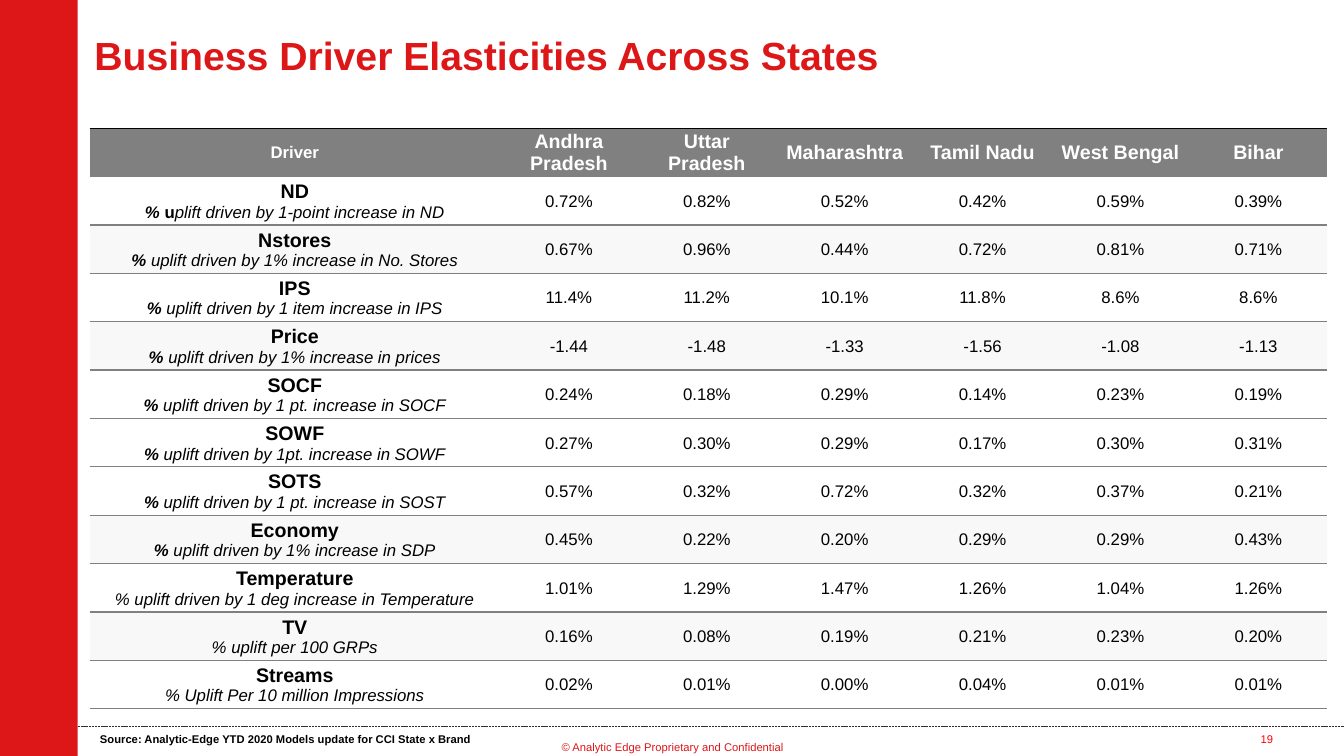
from lxml import etree
from pptx import Presentation
from pptx.dml.color import RGBColor
from pptx.enum.dml import MSO_LINE
from pptx.enum.shapes import MSO_CONNECTOR, MSO_SHAPE
from pptx.enum.text import MSO_ANCHOR, PP_ALIGN
from pptx.oxml.ns import qn
from pptx.util import Cm, Pt

LEFT, CENTER = PP_ALIGN.LEFT, PP_ALIGN.CENTER
TOP, MIDDLE = MSO_ANCHOR.TOP, MSO_ANCHOR.MIDDLE
STRAIGHT, RECTANGLE = MSO_CONNECTOR.STRAIGHT, MSO_SHAPE.RECTANGLE
DASH = MSO_LINE.SQUARE_DOT

FONT = "Arial"
COLORS = {
    "red": "DD1618",
    "number": "FF0000",
    "rule": "2E2E30",
    "grey": "808080",
    "band": "F8F8F8",
    "black": "000000",
    "white": "FFFFFF",
}
SLIDE_WIDTH, SLIDE_HEIGHT = 33.87, 19.05
DRIVER_WIDTH = 10.34

STATES = ["Andhra Pradesh", "Uttar\nPradesh", "Maharashtra", "Tamil Nadu", "West Bengal", "Bihar"]
# Driver, bold lead-in runs (text, italic), explanation, banded, values by state
DRIVERS = [
    ("ND", [("%", True), (" u", False)], "plift driven by 1-point increase in ND", False,
     "0.72% 0.82% 0.52% 0.42% 0.59% 0.39%"),
    ("Nstores", [("% ", True)], "uplift driven by 1% increase in No. Stores", True,
     "0.67% 0.96% 0.44% 0.72% 0.81% 0.71%"),
    ("IPS", [("% ", True)], "uplift driven by 1 item increase in IPS", False,
     "11.4% 11.2% 10.1% 11.8% 8.6% 8.6%"),
    ("Price", [("% ", True)], "uplift driven by 1% increase in prices", True,
     "-1.44 -1.48 -1.33 -1.56 -1.08 -1.13"),
    ("SOCF", [("% ", True)], "uplift driven by 1 pt. increase in SOCF", False,
     "0.24% 0.18% 0.29% 0.14% 0.23% 0.19%"),
    ("SOWF", [("% ", True)], "uplift driven by 1pt. increase in SOWF", False,
     "0.27% 0.30% 0.29% 0.17% 0.30% 0.31%"),
    ("SOTS", [("% ", True)], "uplift driven by 1 pt. increase in SOST", False,
     "0.57% 0.32% 0.72% 0.32% 0.37% 0.21%"),
    ("Economy", [("% ", True)], "uplift driven by 1% increase in SDP", True,
     "0.45% 0.22% 0.20% 0.29% 0.29% 0.43%"),
    ("Temperature", [], "% uplift driven by 1 deg increase in Temperature", False,
     "1.01% 1.29% 1.47% 1.26% 1.04% 1.26%"),
    ("TV", [], "% uplift per 100 GRPs", True,
     "0.16% 0.08% 0.19% 0.21% 0.23% 0.20%"),
    ("Streams", [], "% Uplift Per 10 million Impressions", False,
     "0.02% 0.01% 0.00% 0.04% 0.01% 0.01%"),
]


def rgb(name):
    return RGBColor.from_string(COLORS[name])


def add_run(paragraph, text, size=12, color="black", bold=False, italic=False):
    run = paragraph.add_run()
    run.text = text
    font = run.font
    font.name, font.size, font.bold, font.italic = FONT, Pt(size), bold, italic
    font.color.rgb = rgb(color)


def write_lines(text_frame, text, align=CENTER, **text_format):
    """Write each line of the text as one paragraph."""
    for index, line in enumerate(text.split("\n")):
        paragraph = text_frame.add_paragraph() if index else text_frame.paragraphs[0]
        paragraph.alignment = align
        add_run(paragraph, line, **text_format)


def add_text(slide, box, text, anchor=TOP, wrap=True, **text_format):
    text_frame = slide.shapes.add_textbox(*map(Cm, box)).text_frame
    text_frame.word_wrap = wrap
    text_frame.vertical_anchor = anchor
    write_lines(text_frame, text, **text_format)


def set_borders(cell, top):
    """Draw one-point lines above and below the cell and none at its sides."""
    properties = cell._tc.get_or_add_tcPr()
    sides = {"a:lnL": None, "a:lnR": None, "a:lnT": top, "a:lnB": "grey"}
    for index, (tag, color) in enumerate(sides.items()):
        line = etree.Element(qn(tag), w=str(Pt(1)))
        if color:
            fill = etree.SubElement(line, qn("a:solidFill"))
            etree.SubElement(fill, qn("a:srgbClr"), val=COLORS[color])
        else:
            etree.SubElement(line, qn("a:noFill"))
        properties.insert(index, line)


def style_cell(cell, fill=None, top="grey"):
    cell.margin_left = cell.margin_right = cell.margin_top = Cm(0.03)
    cell.margin_bottom = 0
    cell.vertical_anchor = MIDDLE
    if fill:
        cell.fill.solid()
        cell.fill.fore_color.rgb = rgb(fill)
    else:
        cell.fill.background()
    set_borders(cell, top)


def write_driver(cell, name, lead_runs, explanation):
    write_lines(cell.text_frame, name, size=14, bold=True)
    paragraph = cell.text_frame.add_paragraph()
    paragraph.alignment = CENTER
    for text, italic in lead_runs:
        add_run(paragraph, text, bold=True, italic=italic)
    add_run(paragraph, explanation, italic=True)


def add_elasticity_table(slide, left, top, width, height):
    row_count, column_count = len(DRIVERS) + 1, len(STATES) + 1
    table = slide.shapes.add_table(
        row_count, column_count, Cm(left), Cm(top), Cm(width), Cm(height)).table
    table.first_row = table.horz_banding = False
    for row in table.rows:
        row.height = Cm(height / row_count)
    for index, column in enumerate(table.columns):
        column.width = Cm((width - DRIVER_WIDTH) / len(STATES) if index else DRIVER_WIDTH)

    for index, heading in enumerate(["Driver"] + STATES):
        cell = table.cell(0, index)
        style_cell(cell, fill="grey", top="black")
        write_lines(cell.text_frame, heading, size=14 if index else 12, color="white", bold=True)

    for row_index, (name, lead_runs, explanation, banded, values) in enumerate(DRIVERS, 1):
        for cell in table.rows[row_index].cells:
            style_cell(cell, fill="band" if banded else None)
        write_driver(table.cell(row_index, 0), name, lead_runs, explanation)
        for column_index, value in enumerate(values.split(), 1):
            write_lines(table.cell(row_index, column_index).text_frame, value)


def add_side_band(slide, left, top, width, height):
    band = slide.shapes.add_shape(RECTANGLE, Cm(left), Cm(top), Cm(width), Cm(height))
    band.shadow.inherit = False
    band.fill.solid()
    band.fill.fore_color.rgb = rgb("red")
    band.line.fill.background()


def add_footer(slide, left, top, width):
    rule = slide.shapes.add_connector(STRAIGHT, Cm(left), Cm(top), Cm(left + width), Cm(top))
    rule.line.color.rgb = rgb("rule")
    rule.line.width = Pt(0.5)
    rule.line.dash_style = DASH
    etree.SubElement(rule._element.spPr, qn("a:effectLst"))
    add_text(slide, (left + 0.31, top + 0.03, 9.88, 0.61),
             "Source: Analytic-Edge YTD 2020 Models update for CCI State x Brand",
             wrap=False, align=LEFT, size=8, bold=True)
    add_text(slide, (left + 11.44, top + 0.23, 7.11, 1.02),
             "© Analytic Edge Proprietary and Confidential", size=8, color="red")
    add_text(slide, (left + width - 2.73, top + 0.03, 1.57, 1.02), "19", size=8, color="number")


def main():
    presentation = Presentation()
    presentation.slide_width, presentation.slide_height = Cm(SLIDE_WIDTH), Cm(SLIDE_HEIGHT)
    slide = presentation.slides.add_slide(presentation.slide_layouts[6])
    band_width = 1.96
    add_side_band(slide, 0, 0, band_width, SLIDE_HEIGHT)
    add_text(slide, (2.13, 0.3, 26.04, 2.18), "Business Driver Elasticities Across States",
             anchor=MIDDLE, align=LEFT, size=28, color="red", bold=True)
    add_elasticity_table(slide, 2.26, 3.23, 31.19, 14.63)
    add_footer(slide, band_width, 18.31, SLIDE_WIDTH - band_width)
    presentation.save("out.pptx")


if __name__ == "__main__":
    main()
